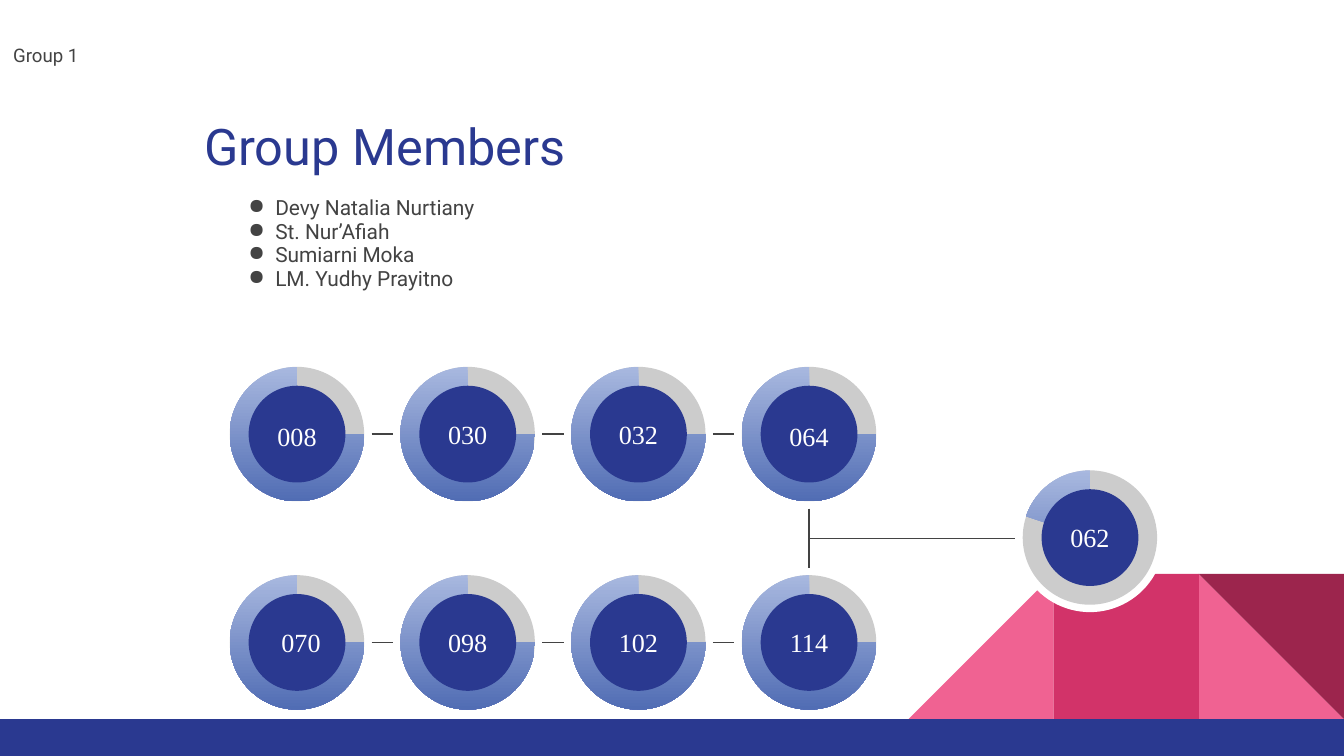
"""Build the group members slide with linked ring badges."""
import pptx
import pptx.dml.color
import pptx.enum.shapes
import pptx.enum.text
import pptx.util
from lxml import etree
from pptx.oxml.ns import qn
from pptx.util import Inches

RGBColor = pptx.dml.color.RGBColor
SHAPE = pptx.enum.shapes.MSO_SHAPE
ALIGN = pptx.enum.text.PP_ALIGN

NAVY = RGBColor(0x2A, 0x39, 0x90)
DARK_GRAY = RGBColor(0x43, 0x43, 0x43)
RING_GRAY = RGBColor(0xCC, 0xCC, 0xCC)
WHITE = RGBColor(0xFF, 0xFF, 0xFF)
LIGHT_BLUE = RGBColor(0xA8, 0xB8, 0xDF)
MID_BLUE = RGBColor(0x51, 0x6D, 0xB4)
PINK = RGBColor(0xF0, 0x62, 0x92)
ROSE = RGBColor(0xD2, 0x33, 0x69)
WINE = RGBColor(0x9C, 0x25, 0x4D)

TITLE = "Group Members"
SUBTITLE = "Group 1"
MEMBERS = ["Devy Natalia Nurtiany", "St. Nur’Afiah", "Sumiarni Moka", "LM. Yudhy Prayitno"]
BADGE_ROWS = [
    (3.23, ["008", "030", "032", "064"]),
    (4.78, ["070", "098", "102", "114"]),
]
LEADER = "062"
LABEL_NUDGES = {"008": (0, 0.02), "064": (0, 0.02), "070": (0.03, 0)}

FIRST_X, PITCH = 2.21, 1.27
LEADER_X, LEADER_Y = 8.11, 4
HALO, RING, CORE = 1.11, 1, 0.72
LABEL_HEIGHT, LABEL_RISE = 0.44, 0.22
LINK_HALF = 0.08
PIE_END = 162
MEMBER_PIE_START, LEADER_PIE_START = 0, 119.12
BLOCK, BLOCK_LEFT, FLOOR = 1.08, 6.76, 5.35


def add_shape(slide, kind, box, color, rotation=0):
    shape = slide.shapes.add_shape(kind, *map(Inches, box))
    shape.shadow.inherit = False
    shape.line.fill.background()
    shape.fill.solid()
    shape.fill.fore_color.rgb = color
    shape.rotation = rotation
    return shape


def add_text(slide, box, lines, font_name, size, color, spacing=1.0, align=ALIGN.LEFT, bullet=None):
    frame = slide.shapes.add_textbox(*map(Inches, box)).text_frame
    frame.word_wrap = True
    frame.margin_left = frame.margin_right = Inches(0.1)
    frame.margin_top = frame.margin_bottom = Inches(0.1)
    frame.text = "\n".join(lines)
    for paragraph in frame.paragraphs:
        paragraph.line_spacing = spacing
        paragraph.alignment = align
        if bullet:
            properties = paragraph._p.get_or_add_pPr()
            properties.set("marL", str(Inches(0.2)))
            properties.set("indent", str(Inches(-0.28)))
            bullet_color = etree.SubElement(properties, qn("a:buClr"))
            etree.SubElement(bullet_color, qn("a:srgbClr"), val=str(color))
            etree.SubElement(properties, qn("a:buChar"), char=bullet)
        for run in paragraph.runs:
            run.font.name = font_name
            run.font.size = pptx.util.Pt(size)
            run.font.color.rgb = color


def add_line(slide, *ends):
    line = slide.shapes.add_connector(
        pptx.enum.shapes.MSO_CONNECTOR.STRAIGHT, *map(Inches, ends))
    line.line.color.rgb = DARK_GRAY
    line.line.width = pptx.util.Pt(0.75)
    etree.SubElement(line._element.spPr, qn("a:effectLst"))


def centered(x, y, size):
    return x - size / 2, y - size / 2, size, size


def add_badge(slide, x, y, label, pie_start):
    add_shape(slide, SHAPE.OVAL, centered(x, y, HALO), WHITE)
    add_shape(slide, SHAPE.OVAL, centered(x, y, RING), RING_GRAY)
    pie = add_shape(slide, SHAPE.PIE, centered(x, y, RING), MID_BLUE)
    pie.adjustments[0] = pie_start
    pie.adjustments[1] = PIE_END
    pie.fill.gradient()
    pie.fill.gradient_angle = 270
    for stop, color in zip(pie.fill.gradient_stops, (LIGHT_BLUE, MID_BLUE)):
        stop.color.rgb = color
    add_shape(slide, SHAPE.OVAL, centered(x, y, CORE), NAVY)
    nudge_x, nudge_y = LABEL_NUDGES.get(label, (0, 0))
    label_box = (x - CORE / 2 + nudge_x, y - LABEL_RISE + nudge_y, CORE, LABEL_HEIGHT)
    add_text(slide, label_box, [label], "Times New Roman", 14, WHITE, align=ALIGN.CENTER)


def add_scenery(slide):
    blocks = [
        (2, SHAPE.RIGHT_TRIANGLE, PINK, 0),
        (0, SHAPE.RIGHT_TRIANGLE, PINK, 270),
        (1, SHAPE.RECTANGLE, ROSE, 0),
        (2, SHAPE.RIGHT_TRIANGLE, WINE, 180),
    ]
    for column, kind, color, rotation in blocks:
        box = (BLOCK_LEFT + column * BLOCK, FLOOR - BLOCK, BLOCK, BLOCK)
        add_shape(slide, kind, box, color, rotation)
    add_shape(slide, SHAPE.RECTANGLE, (0, FLOOR, 10, 0.28), NAVY)


def main():
    presentation = pptx.Presentation()
    presentation.slide_width = Inches(10)
    presentation.slide_height = Inches(5.625)
    slide = presentation.slides.add_slide(presentation.slide_layouts[6])

    add_scenery(slide)
    add_text(slide, (1.42, 0.69, 3.27, 0.65), [TITLE], "Roboto", 27, NAVY, 1.15)
    add_text(slide, (1.75, 1.36, 2.16, 1.11), MEMBERS, "Roboto", 11.2, DARK_GRAY, 0.95, bullet="●")
    add_text(slide, (0, 0.27, 3.84, 0.35), [SUBTITLE], "Roboto", 10, DARK_GRAY, 0.9)

    add_badge(slide, LEADER_X, LEADER_Y, LEADER, LEADER_PIE_START)
    for y, labels in BADGE_ROWS:
        for column, label in enumerate(labels):
            x = FIRST_X + column * PITCH
            add_badge(slide, x, y, label, MEMBER_PIE_START)
            if column:
                middle = x - PITCH / 2
                add_line(slide, middle - LINK_HALF, y, middle + LINK_HALF, y)

    trunk_x = FIRST_X + 3 * PITCH
    top_y, bottom_y = (y for y, labels in BADGE_ROWS)
    add_line(slide, trunk_x, top_y + HALO / 2, trunk_x, bottom_y - HALO / 2)
    branch_y = (top_y + bottom_y) / 2
    add_line(slide, trunk_x, branch_y, LEADER_X - HALO / 2, branch_y)

    presentation.save("out.pptx")


if __name__ == "__main__":
    main()
